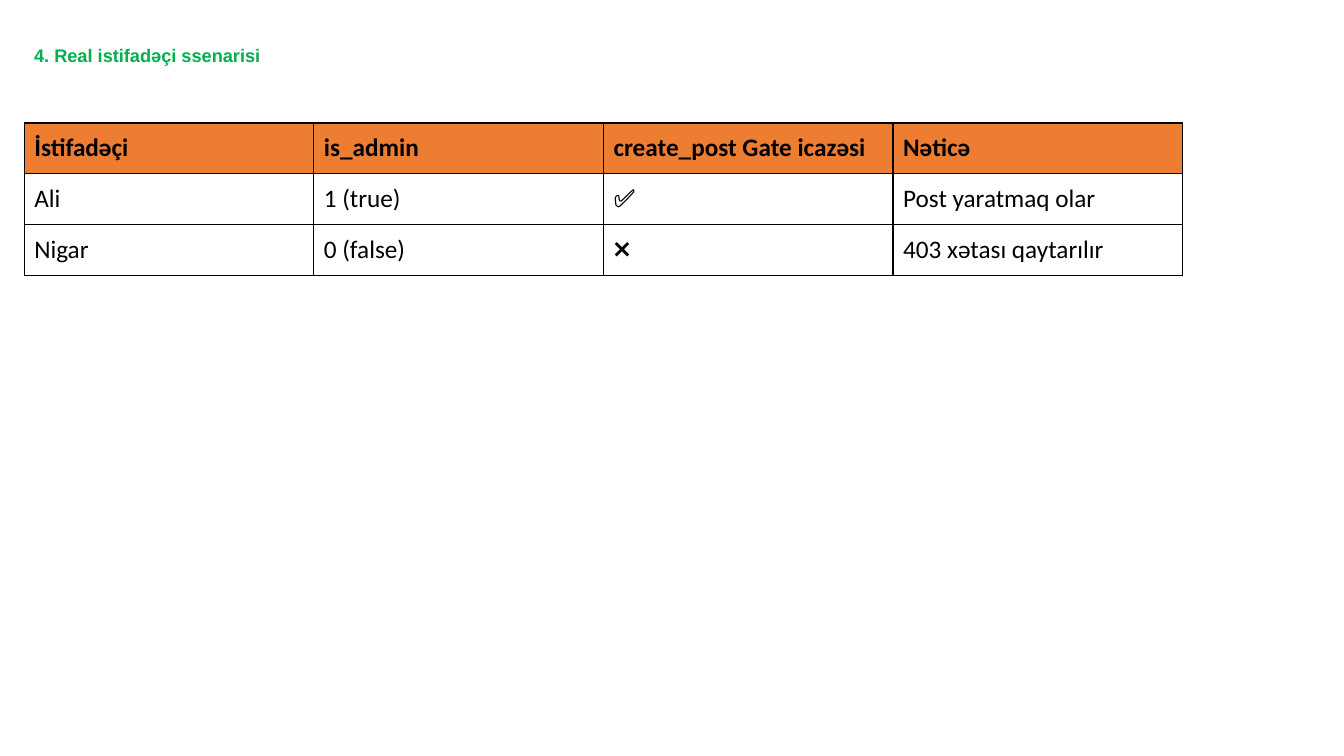
import lxml.etree
import pptx
import pptx.dml.color
import pptx.enum.text
import pptx.oxml.ns
import pptx.util

PX = 9144  # 100 px to the inch
COLORS = {"title": "00B050", "header": "ED7D31", "text": "000000", "border": "000000"}

ROWS = [
    ["İstifadəçi", "is_admin", "create_post Gate icazəsi", "Nəticə"],
    ["Ali", "1 (true)", "✅", "Post yaratmaq olar"],
    ["Nigar", "0 (false)", "❌", "403 xətası qaytarılır"],
]


def rgb(name):
    return pptx.dml.color.RGBColor.from_string(COLORS[name])


def set_font(p, face, size, color, bold):
    for r in p.runs:
        r.font.name = face
        r.font.size = pptx.util.Pt(size)
        r.font.bold = bold
        r.font.color.rgb = rgb(color)


def set_borders(cell, points):
    qn = pptx.oxml.ns.qn
    tcPr = cell._tc.get_or_add_tcPr()
    for side in ("a:lnL", "a:lnR", "a:lnT", "a:lnB"):
        ln = lxml.etree.SubElement(tcPr, qn(side), w=str(pptx.util.Pt(points)))
        fill = lxml.etree.SubElement(ln, qn("a:solidFill"))
        lxml.etree.SubElement(fill, qn("a:srgbClr"), val=COLORS["border"])


def add_title(s, text, left, top, width, height):
    tf = s.shapes.add_textbox(left * PX, top * PX, width * PX, height * PX).text_frame
    tf.word_wrap = True
    tf.text = text
    p = tf.paragraphs[0]
    p.line_spacing = 1.5
    set_font(p, "Arial", 13, "title", True)


def add_access_table(s, rows, left, top, width, height):
    frame = s.shapes.add_table(len(rows), len(rows[0]), left * PX, top * PX,
                               width * PX, height * PX)
    table = frame.table
    table.first_row = False
    table.horz_banding = False
    for i, row in enumerate(rows):
        is_header = i == 0
        for j, text in enumerate(row):
            cell = table.cell(i, j)
            cell.text = text
            cell.vertical_anchor = pptx.enum.text.MSO_ANCHOR.MIDDLE
            set_font(cell.text_frame.paragraphs[0], "Calibri", 18, "text", is_header)
            set_borders(cell, 1)
            if is_header:
                cell.fill.solid()
                cell.fill.fore_color.rgb = rgb("header")
            else:
                cell.fill.background()


def main():
    prs = pptx.Presentation()
    prs.slide_width = 1333 * PX
    prs.slide_height = 750 * PX
    s = prs.slides.add_slide(prs.slide_layouts[6])
    add_title(s, "4. Real istifadəçi ssenarisi", 24, 28, 1286, 137)
    add_access_table(s, ROWS, 24, 122, 1149, 151)
    prs.save("out.pptx")


if __name__ == "__main__":
    main()
